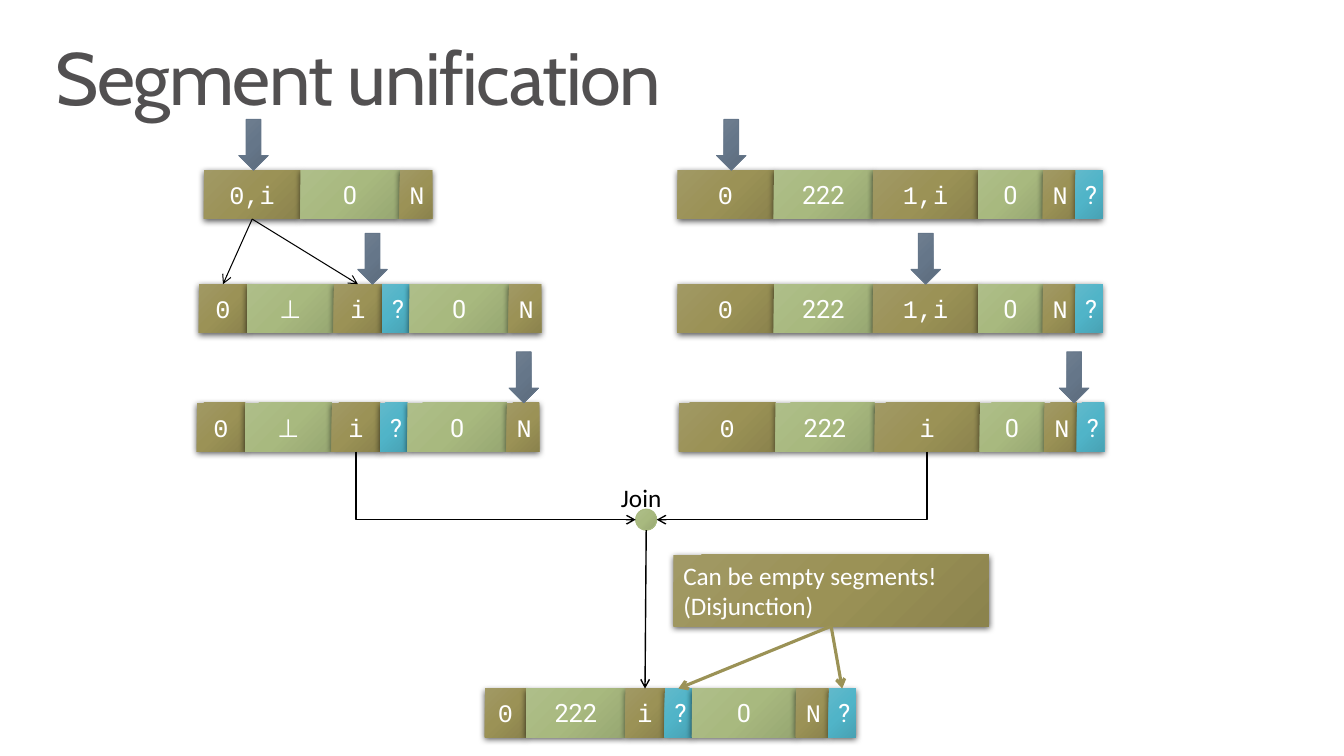
from copy import deepcopy
from dataclasses import dataclass

from lxml import etree
from pptx import Presentation
from pptx import oxml
from pptx import util as u
from pptx.dml.color import RGBColor
from pptx.enum import shapes, text
from pptx.oxml import ns

Cm = u.Cm


@dataclass(frozen=True)
class Theme:
    olive: tuple = ("A19965", "9B9256", "8B834D")
    green: tuple = ("AEBE89", "A8B97F", "97A772")
    blue: tuple = ("61B9CB", "50B4C8", "48A2B4")
    slate: tuple = ("718091", "657689", "5B6A7B")
    black: str = "000000"
    white: str = "FFFFFF"
    title: str = "525051"
    title_size: float = 52.9
    body_size: float = 18


THEME = Theme()
CELL_HEIGHT = Cm(1.23)
POINTER_WIDTH, POINTER_HEIGHT = Cm(0.74), Cm(1.28)
SHADOW = (
    f'<a:outerShdw {ns.nsdecls("a")} blurRad="57150" dist="19050" dir="5400000" '
    'algn="ctr" rotWithShape="0"><a:srgbClr val="000000">'
    '<a:alpha val="63000"/></a:srgbClr></a:outerShdw>'
)


# Segment kinds: text, width in cm, gradient, font
def bound(label, width):
    return label, width, THEME.olive, "Courier New"


def content(label, width, font="Roboto"):
    return label, width, THEME.green, font


BOUND_END = bound("N", 0.82)
MAYBE = ("?", 0.69, THEME.blue, "Roboto")


def right_segments(middle):
    return [bound("0", 2.43), content("222", 2.5), bound(middle, 2.65),
            content("0", 1.63), BOUND_END, MAYBE]


SPLIT_SEGMENTS = [bound("0", 1.22), content("⊥", 2.18, "Calibri"), bound("i", 1.22),
                  MAYBE, content("0", 2.5), BOUND_END]
JOINED_SEGMENTS = [bound("0", 1.04), content("222", 2.5), bound("i", 0.99), MAYBE,
                   content("0", 2.62), BOUND_END, MAYBE]


# Text
def write(shape, words, font="Calibri", size=THEME.body_size, color=THEME.white,
          align=text.PP_ALIGN.LEFT, anchor=text.MSO_ANCHOR.TOP, wrap=True,
          insets=(0.25, 0.13), line_spacing=None, tracking=None):
    frame = shape.text_frame
    frame.word_wrap = wrap
    frame.vertical_anchor = anchor
    frame.margin_left = frame.margin_right = Cm(insets[0])
    frame.margin_top = frame.margin_bottom = Cm(insets[1])
    paragraph = frame.paragraphs[0]
    paragraph.alignment = align
    paragraph.line_spacing = line_spacing
    run = paragraph.add_run()
    run.text = words
    run.font.name, run.font.size = font, u.Pt(size)
    run.font.color.rgb = RGBColor.from_string(color)
    if tracking:
        run._r.get_or_add_rPr().set("spc", str(tracking * 100))


# Filled shapes
def add_block(parent, kind, left, top, width, height, gradient, outlined=False):
    shape = parent.add_shape(kind, left, top, width, height)
    shape.fill.gradient()
    shape.fill.gradient_angle = 315
    stop_list = shape.element.spPr.find(".//" + ns.qn("a:gsLst"))
    stop_list.append(deepcopy(stop_list[0]))
    for index, stop in enumerate(shape.fill.gradient_stops):
        stop.position = index / 2
        stop.color.rgb = RGBColor.from_string(gradient[index])
    if outlined:
        shape.line.color.rgb = RGBColor.from_string(gradient[1])
        shape.line.width = u.Pt(0.75)
    else:
        shape.line.fill.background()
    shape.shadow.inherit = False
    if not outlined:
        effects = shape.element.spPr.find(ns.qn("a:effectLst"))
        effects.append(oxml.parse_xml(SHADOW))
    return shape


def add_segment_row(slide, left, top, segments):
    group = slide.shapes.add_group_shape()
    cells = []
    for label, width, gradient, font in segments:
        cell = add_block(group.shapes, shapes.MSO_SHAPE.RECTANGLE, Cm(left), Cm(top),
                         Cm(width), CELL_HEIGHT, gradient)
        write(cell, label, font=font, align=text.PP_ALIGN.CENTER,
              anchor=text.MSO_ANCHOR.MIDDLE)
        cells.append(cell)
        left += width
    return cells


def add_pointer(slide, left, row_top):
    add_block(slide.shapes, shapes.MSO_SHAPE.DOWN_ARROW, Cm(left),
              Cm(row_top) - POINTER_HEIGHT, POINTER_WIDTH, POINTER_HEIGHT,
              THEME.slate, outlined=True)


# Arrows
def bottom_middle(shape):
    return shape.left + shape.width // 2, shape.top + shape.height


def add_arrow(slide, kind, begin, end, color=THEME.black, width=1.0):
    arrow = slide.shapes.add_connector(kind, *begin, *end)
    arrow.line.color.rgb = RGBColor.from_string(color)
    arrow.line.width = u.Pt(width)
    properties = arrow.element.spPr
    etree.SubElement(properties.find(ns.qn("a:ln")), ns.qn("a:tailEnd"), type="arrow")
    etree.SubElement(properties, ns.qn("a:effectLst"))
    return arrow


def add_straight_arrow(slide, source, target, joined=True, **style):
    end = target.left + target.width // 2, target.top
    arrow = add_arrow(slide, shapes.MSO_CONNECTOR.STRAIGHT, bottom_middle(source), end,
                      **style)
    if joined:
        arrow.begin_connect(source, 2)
    arrow.end_connect(target, 0)


def add_corner_arrow(slide, source, end):
    """Go down from the source, then sideways to the end: a turned two-part elbow."""
    begin = bottom_middle(source)
    across, down = end[0] - begin[0], end[1] - begin[1]
    center_x, center_y = (begin[0] + end[0]) // 2, (begin[1] + end[1]) // 2
    half_x = down // 2 if across > 0 else -(down // 2)
    half_y = abs(across) // 2
    arrow = add_arrow(slide, shapes.MSO_CONNECTOR.ELBOW,
                      (center_x + half_x, center_y - half_y),
                      (center_x - half_x, center_y + half_y))
    properties = arrow.element.spPr
    properties.find(ns.qn("a:prstGeom")).set("prst", "bentConnector2")
    turn = 270 if across > 0 else 90
    properties.find(ns.qn("a:xfrm")).set("rot", str(turn * 60000))


def main():
    presentation = Presentation()
    presentation.slide_width, presentation.slide_height = Cm(33.87), Cm(19.05)
    slide = presentation.slides.add_slide(presentation.slide_layouts[6])

    # Segment rows
    first_top, second_top, third_top = 4.29, 7.16, 10.15
    start = add_segment_row(slide, 5.14, first_top,
                            [bound("0,i", 2.43), content("0", 2.5), BOUND_END])
    add_segment_row(slide, 17.07, first_top, right_segments("1,i"))
    split = add_segment_row(slide, 5.01, second_top, SPLIT_SEGMENTS)
    add_segment_row(slide, 17.07, second_top, right_segments("1,i"))
    left_final = add_segment_row(slide, 4.96, third_top, SPLIT_SEGMENTS)
    right_final = add_segment_row(slide, 17.11, third_top, right_segments("i"))
    joined = add_segment_row(slide, 12.22, 17.35, JOINED_SEGMENTS)

    # Join of both sides
    dot = add_block(slide.shapes, shapes.MSO_SHAPE.OVAL, Cm(16.02), Cm(12.83),
                    Cm(0.53), Cm(0.53), THEME.green, outlined=True)
    dot_middle = dot.top + dot.height // 2
    add_corner_arrow(slide, left_final[2], (dot.left, dot_middle))
    add_corner_arrow(slide, right_final[2], (dot.left + dot.width, dot_middle))
    add_straight_arrow(slide, dot, joined[2], joined=False)
    join_label = slide.shapes.add_textbox(Cm(15.4), Cm(12.02), Cm(1.52), Cm(1.03))
    write(join_label, "Join", color=THEME.black, wrap=False)

    # Position pointers
    for row_top, lefts in ((first_top, (6.02, 18.06)), (second_top, (9.02, 22.96)),
                           (third_top, (12.83, 26.7))):
        for left in lefts:
            add_pointer(slide, left, row_top)

    # Split of the first bound
    for target in (split[0], split[2]):
        add_straight_arrow(slide, start[0], target, width=0.75)

    # Callout on the optional segments
    callout = add_block(slide.shapes, shapes.MSO_SHAPE.RECTANGLE, Cm(16.97), Cm(13.98),
                        Cm(7.95), Cm(1.8), THEME.olive)
    write(callout, "Can be empty segments! (Disjunction)")
    for target in (joined[3], joined[6]):
        add_straight_arrow(slide, callout, target, color=THEME.olive[1], width=2.25)

    # Title
    title = slide.shapes.add_textbox(Cm(0.99), Cm(0.81), Cm(31.88), Cm(2.54))
    write(title, "Segment unification", font="Cabin", size=THEME.title_size,
          color=THEME.title, insets=(0.41, 0.25), line_spacing=0.9, tracking=-1)

    presentation.save("out.pptx")


if __name__ == "__main__":
    main()
